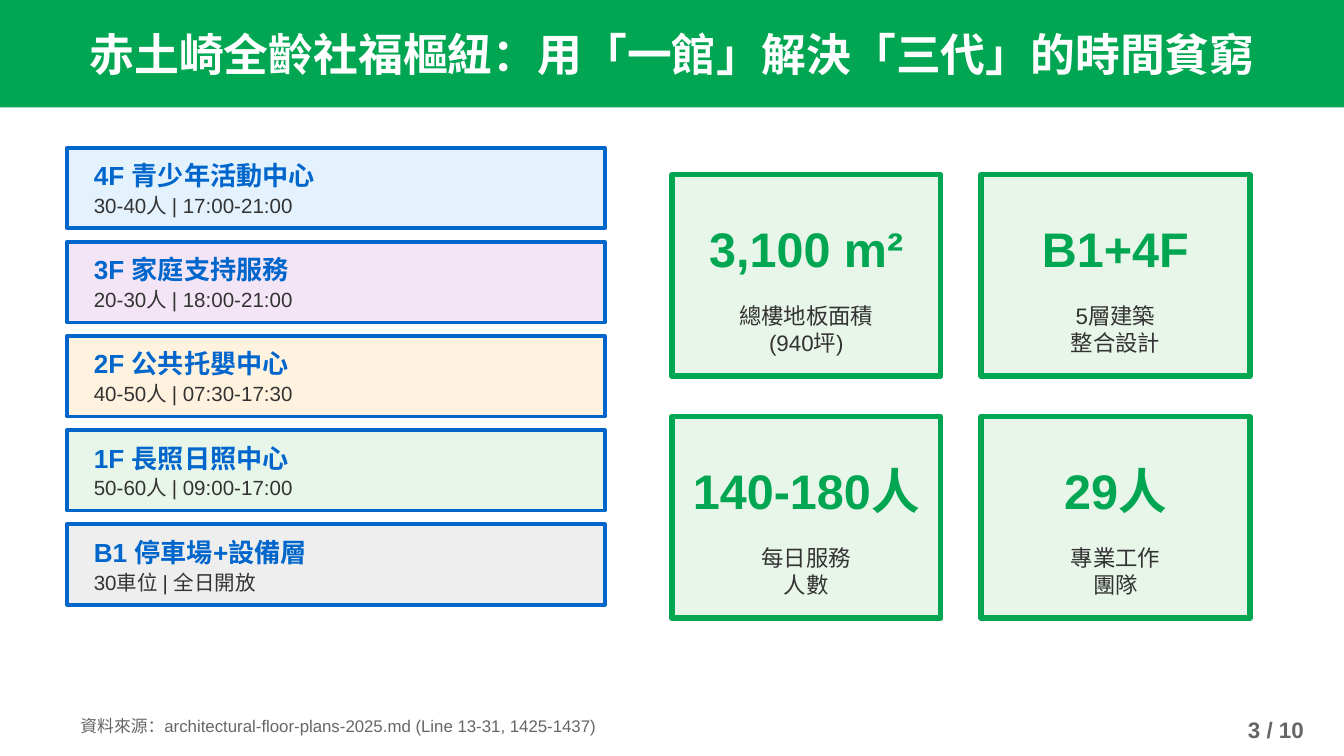
from pptx import Presentation, util as u
from pptx.dml.color import RGBColor
from pptx.enum import shapes, text

WIDE = 10
HIGH = WIDE * 9 / 16
FONT = "Arial"
HUES = {
    "green": "00A651", "blue": "0066CC", "white": "FFFFFF",
    "ink": "333333", "grey": "666666",
    "sky": "E3F2FD", "lilac": "F3E5F5", "cream": "FFF3E0",
    "mint": "E8F5E9", "ash": "EEEEEE",
}
LEFT, MID, RIGHT = text.PP_ALIGN.LEFT, text.PP_ALIGN.CENTER, text.PP_ALIGN.RIGHT

FLOORS = [  # title, detail, fill
    ("4F 青少年活動中心", "30-40人 | 17:00-21:00", "sky"),
    ("3F 家庭支持服務", "20-30人 | 18:00-21:00", "lilac"),
    ("2F 公共托嬰中心", "40-50人 | 07:30-17:30", "cream"),
    ("1F 長照日照中心", "50-60人 | 09:00-17:00", "mint"),
    ("B1 停車場+設備層", "30車位 | 全日開放", "ash"),
]
STATS = [  # figure, caption lines
    ("3,100 m²", ["總樓地板面積", "(940坪)"]),
    ("B1+4F", ["5層建築", "整合設計"]),
    ("140-180人", ["每日服務", "人數"]),
    ("29人", ["專業工作", "團隊"]),
]


def hue(name):
    return RGBColor.from_string(HUES[name])


def add_box(slide, x, y, w, h, fill, edge=None, thick=0):
    box = slide.shapes.add_shape(
        shapes.MSO_SHAPE.RECTANGLE, *map(u.Inches, (x, y, w, h)))
    box.shadow.inherit = False
    box.fill.solid()
    box.fill.fore_color.rgb = hue(fill)
    if edge:
        box.line.color.rgb = hue(edge)
        box.line.width = u.Pt(thick)
    else:
        box.line.fill.background()


def add_text(slide, x, y, w, h, lines, size, tint, bold=False, align=LEFT):
    frame = slide.shapes.add_textbox(*map(u.Inches, (x, y, w, h))).text_frame
    frame.word_wrap = True
    frame.vertical_anchor = text.MSO_ANCHOR.MIDDLE
    for i, line in enumerate(lines):
        para = frame.add_paragraph() if i else frame.paragraphs[0]
        para.alignment = align
        run = para.add_run()
        run.text = line
        font = run.font
        font.name, font.size, font.bold = FONT, u.Pt(size), bold
        font.color.rgb = hue(tint)


def add_floor(slide, row, title, note, fill):
    x, y = 0.5, 1.1 + 0.7 * row
    add_box(slide, x, y, 4, 0.6, fill, "blue", 2)
    add_text(slide, x + 0.1, y + 0.08, 3.8, 0.25, [title], 14, "blue", True)
    add_text(slide, x + 0.1, y + 0.33, 3.8, 0.2, [note], 11, "ink")


def add_stat(slide, row, col, figure, lines):
    x, y = 5 + 2.3 * col, 1.3 + 1.8 * row
    add_box(slide, x, y, 2, 1.5, "mint", "green", 3)
    add_text(slide, x, y + 0.25, 2, 0.6, [figure], 26, "green", True, MID)
    add_text(slide, x, y + 0.9, 2, 0.5, lines, 12, "ink", align=MID)


def main():
    deck = Presentation()
    deck.slide_width, deck.slide_height = u.Inches(WIDE), u.Inches(HIGH)
    slide = deck.slides.add_slide(deck.slide_layouts[6])

    # Title band
    add_box(slide, 0, 0, WIDE, 0.8, "green")
    add_text(slide, 0.5, 0.2, WIDE - 1, 0.4,
             ["赤土崎全齡社福樞紐：用「一館」解決「三代」的時間貧窮"],
             24, "white", True, MID)

    # Floor stack, top floor first
    for row, floor in enumerate(FLOORS):
        add_floor(slide, row, *floor)

    # Key figures, two by two
    for i, stat in enumerate(STATS):
        add_stat(slide, *divmod(i, 2), *stat)

    # Source and page number
    add_text(slide, 0.5, 5.3, 8.5, 0.2,
             ["資料來源：architectural-floor-plans-2025.md (Line 13-31, 1425-1437)"],
             9, "grey")
    add_text(slide, 9, 5.3, 0.8, 0.25, ["3 / 10"], 12, "grey", True, RIGHT)

    deck.save("out.pptx")


if __name__ == "__main__":
    main()
